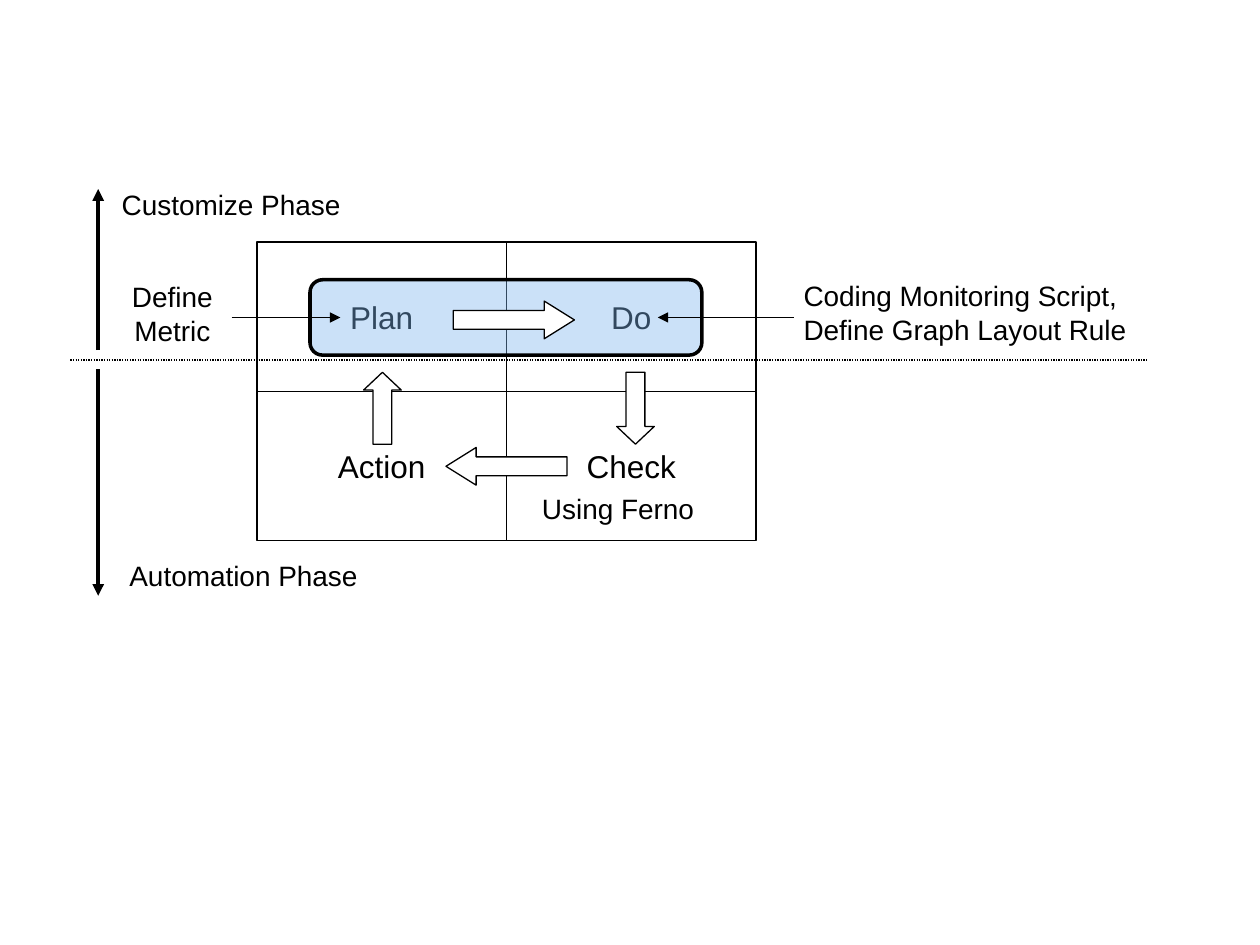
"""Build a slide with a Plan-Do-Check-Action cycle split into two phases."""
from lxml import etree
from pptx import Presentation
from pptx import util as u
from pptx.dml.color import RGBColor
from pptx.enum import dml, shapes, text
from pptx.oxml.ns import qn

BLACK = RGBColor(0x00, 0x00, 0x00)
WHITE = RGBColor(0xFF, 0xFF, 0xFF)
BLUE = RGBColor(0x7D, 0xB6, 0xEF)
THIN, FRAME, THICK = 0.74, 2, 2.24
CENTER, LEFT = text.PP_ALIGN.CENTER, text.PP_ALIGN.LEFT

STEPS = [["Plan", "Do"], ["Action", "Check"]]
GRID_LEFT, GRID_TOP, CELL_W, CELL_H = 5.18, 4.88, 5.03, 3.01
HIGHLIGHT = (6.25, 5.64, 7.9, 1.52)

LABELS = [
    (["Define", "Metric"], (2.31, 5.51, 2.33, 1.63), CENTER, False),
    (["Coding Monitoring Script,", "Define Graph Layout Rule"],
     (15.95, 5.49, 8.13, 1.63), LEFT, True),
    (["Using Ferno"], (10.46, 9.78, 4, 0.94), CENTER, False),
    (["Customize Phase"], (2.06, 3.66, 5.2, 0.94), CENTER, False),
    (["Automation Phase"], (2.26, 11.13, 5.3, 0.94), CENTER, False),
]

ARROW_H = 0.76
CYCLE_ARROWS = [
    (10.36, 6.45, 2.44, 0, 0.8),
    (12.81, 8.23, 1.45, 90, 0.47),
    (10.21, 9.4, 2.44, 180, 0.8),
    (7.71, 8.23, 1.45, 270, 0.47),
]

LINES = [
    ((4.67, 6.4, 6.86, 6.4), THIN, True),
    ((16, 6.4, 13.26, 6.4), THIN, True),
    ((1.42, 7.26, 23.11, 7.26), THIN, False),
    ((1.98, 7.06, 1.98, 3.81), THICK, True),
    ((1.98, 7.44, 1.98, 12.01), THICK, True),
]


def cm(values):
    return [u.Cm(v) for v in values]


def add_box(slide, kind, box, fill=None, width=THIN):
    sp = slide.shapes.add_shape(kind, *cm(box))
    sp.shadow.inherit = False
    if fill is None:
        sp.fill.background()
    else:
        sp.fill.solid()
        sp.fill.fore_color.rgb = fill
    sp.line.color.rgb = BLACK
    sp.line.width = u.Pt(width)
    return sp


def write(sp, lines, size, align, anchor, wrap=False, fit=None):
    tf = sp.text_frame
    frame = {"word_wrap": wrap, "vertical_anchor": anchor, "auto_size": fit,
             "margin_left": u.Cm(0.25), "margin_right": u.Cm(0.25),
             "margin_top": u.Cm(0.13), "margin_bottom": u.Cm(0.13)}
    for name, value in frame.items():
        setattr(tf, name, value)
    for i, line in enumerate(lines):
        p = tf.add_paragraph() if i else tf.paragraphs[0]
        p.alignment = align
        r = p.add_run()
        r.text = line
        for name, value in {"name": "Arial", "size": u.Pt(size)}.items():
            setattr(r.font, name, value)
        r.font.color.rgb = BLACK


def add_line(slide, ends, width, arrow):
    line = slide.shapes.add_connector(shapes.MSO_CONNECTOR.STRAIGHT, *cm(ends))
    line.line.color.rgb = BLACK
    line.line.width = u.Pt(width)
    if arrow:
        ln = line.line._get_or_add_ln()
        etree.SubElement(ln, qn("a:tailEnd"), type="triangle")
    else:
        line.line.dash_style = dml.MSO_LINE.ROUND_DOT
    etree.SubElement(line._element.spPr, qn("a:effectLst"))


prs = Presentation()
prs.slide_width, prs.slide_height = cm((25.4, 19.05))
slide = prs.slides.add_slide(prs.slide_layouts[6])
KIND = shapes.MSO_SHAPE

for row, names in enumerate(STEPS):
    for col, name in enumerate(names):
        box = (GRID_LEFT + col * CELL_W, GRID_TOP + row * CELL_H, CELL_W, CELL_H)
        sp = add_box(slide, KIND.RECTANGLE, box)
        write(sp, [name], 18, CENTER, text.MSO_ANCHOR.MIDDLE)

sp = add_box(slide, KIND.ROUNDED_RECTANGLE, HIGHLIGHT, BLUE, FRAME)
color = sp.fill._xPr.find(qn("a:solidFill"))[0]
etree.SubElement(color, qn("a:alpha"), val="40000")

for lines, box, align, wrap in LABELS:
    sp = slide.shapes.add_textbox(*cm(box))
    write(sp, lines, 16, align, text.MSO_ANCHOR.TOP, wrap,
          text.MSO_AUTO_SIZE.SHAPE_TO_FIT_TEXT)

for x, y, length, angle, head in CYCLE_ARROWS:
    box = (x - length / 2, y - ARROW_H / 2, length, ARROW_H)
    sp = add_box(slide, KIND.RIGHT_ARROW, box, WHITE)
    sp.adjustments[1] = head
    sp.rotation = angle

for ends, width, arrow in LINES:
    add_line(slide, ends, width, arrow)

prs.save("out.pptx")
